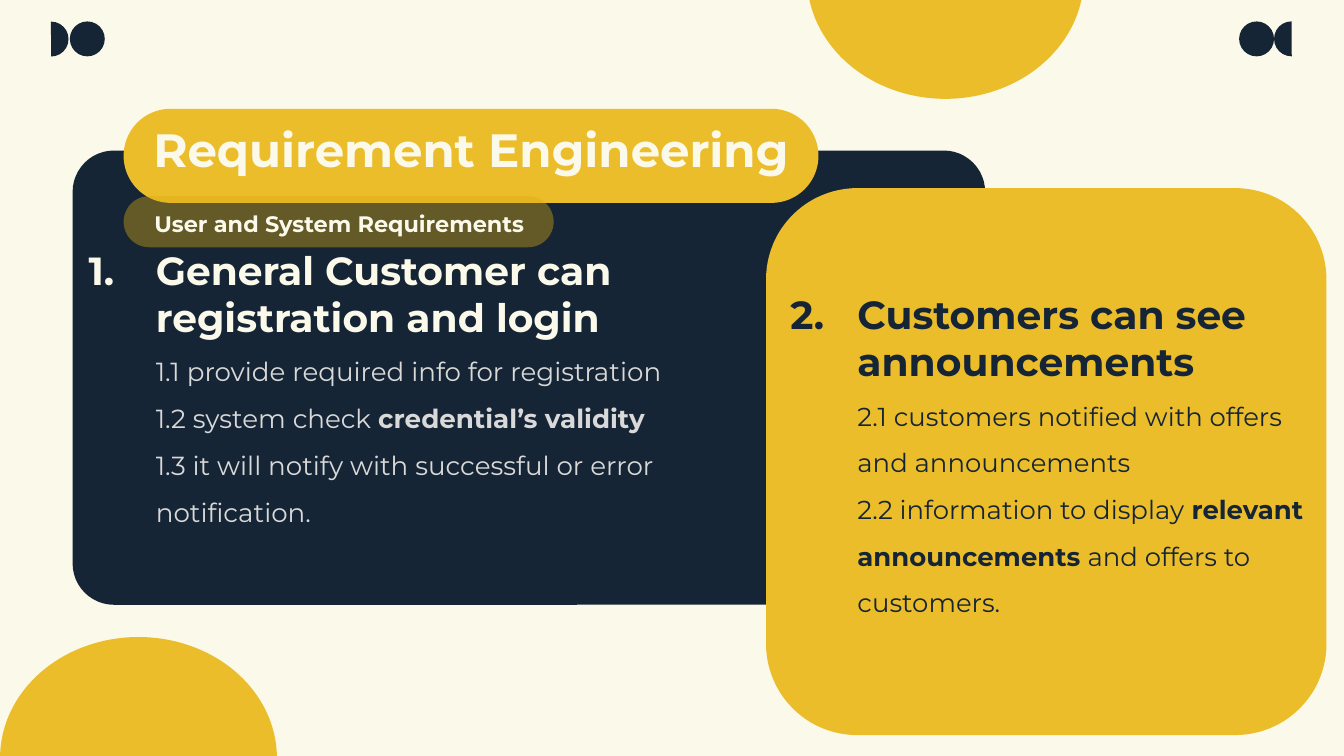
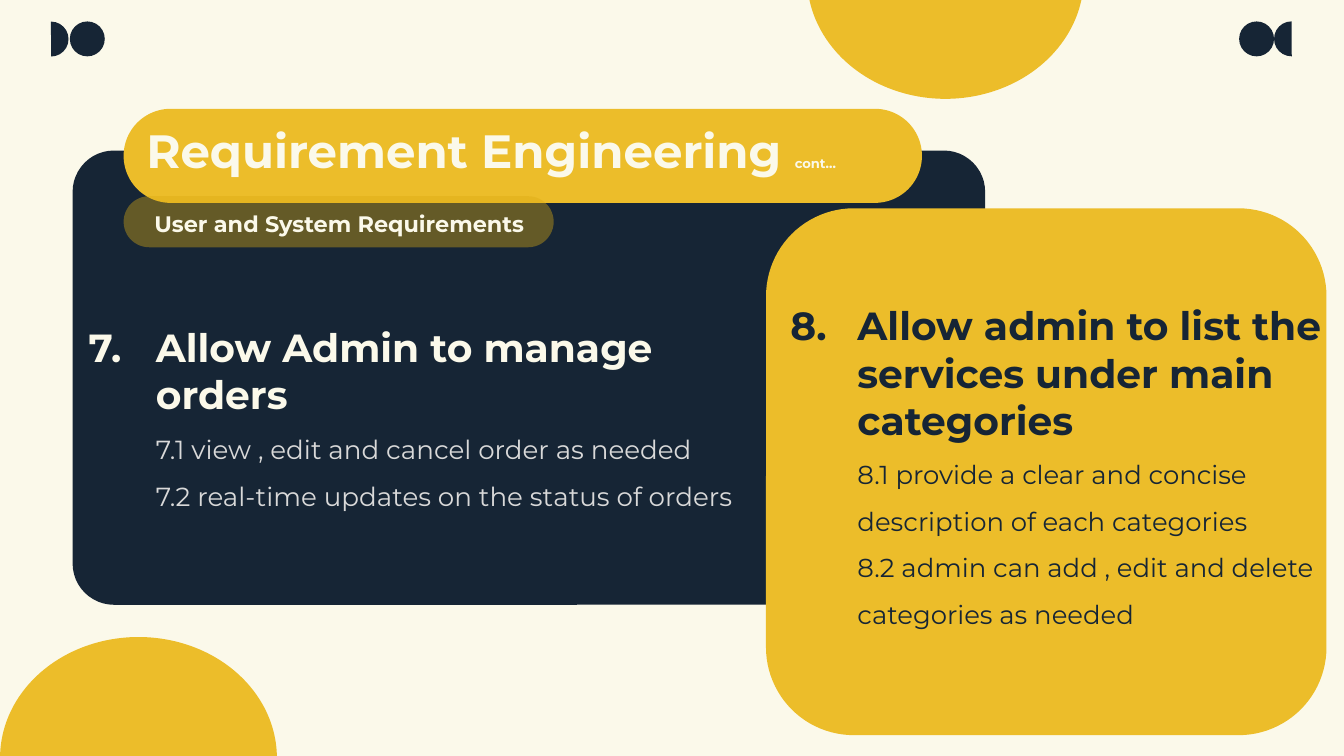
import dataclasses

import lxml.etree
import pptx
import pptx.dml.color
import pptx.enum.shapes
import pptx.enum.text
import pptx.oxml.ns
import pptx.util

COLORS = {
    "cream": "FBF9EA",
    "navy": "162535",
    "yellow": "ECBD2A",
    "mustard": "DBAB13",
    "grey": "D9D9D9",
}
FONT = "Montserrat"
SHAPE = pptx.enum.shapes.MSO_SHAPE
ALIGN = pptx.enum.text.PP_ALIGN
HALF_CIRCLE = (53.46, 162)
NUMBER_INDENT = 0.5
PAGE_WIDTH = 10
PAGE_HEIGHT = PAGE_WIDTH * 9 / 16


@dataclasses.dataclass
class Box:
    left: float
    top: float
    width: float
    height: float

    def inner(self, left, top, width, height):
        return Box(self.left + left, self.top + top, width, height)

    def lengths(self):
        return [pptx.util.Inches(value) for value in dataclasses.astuple(self)]


def color_of(name):
    return pptx.dml.color.RGBColor.from_string(COLORS[name])


def add_filled(shapes, kind, box, color, adjustments=(), rotation=0, opacity=None):
    shape = shapes.add_shape(kind, *box.lengths())
    shape.shadow.inherit = False
    shape.fill.solid()
    shape.fill.fore_color.rgb = color_of(color)
    shape.line.fill.background()
    shape.rotation = rotation
    for index, value in enumerate(adjustments):
        shape.adjustments[index] = value
    if opacity is not None:
        tint = shape.fill._xPr.find(".//" + pptx.oxml.ns.qn("a:srgbClr"))
        alpha = lxml.etree.SubElement(tint, pptx.oxml.ns.qn("a:alpha"))
        alpha.set("val", str(opacity * 1000))
    return shape


def add_text_frame(shapes, box, bottom_margin=0):
    frame = shapes.add_textbox(*box.lengths()).text_frame
    frame.word_wrap = True
    frame.vertical_anchor = pptx.enum.text.MSO_ANCHOR.MIDDLE
    frame.margin_left = frame.margin_right = frame.margin_top = 0
    frame.margin_bottom = pptx.util.Inches(bottom_margin)
    return frame


def add_span(para, text, size, color, bold=True):
    span = para.add_run()
    span.text = text
    span.font.name = FONT
    span.font.size = pptx.util.Pt(size)
    span.font.bold = bold
    span.font.color.rgb = color_of(color)


def indent(para, hanging=0):
    properties = para._p.get_or_add_pPr()
    properties.set("marL", str(pptx.util.Inches(NUMBER_INDENT)))
    properties.set("indent", str(-pptx.util.Inches(hanging)))
    return properties


def number_heading(para, number, color):
    properties = indent(para, NUMBER_INDENT)
    bullet_color = lxml.etree.SubElement(properties, pptx.oxml.ns.qn("a:buClr"))
    tint = lxml.etree.SubElement(bullet_color, pptx.oxml.ns.qn("a:srgbClr"))
    tint.set("val", COLORS[color])
    bullet = lxml.etree.SubElement(properties, pptx.oxml.ns.qn("a:buAutoNum"))
    bullet.set("type", "arabicPeriod")
    bullet.set("startAt", str(number))


def add_requirement(page, box, content, heading_color, body_color, body_size):
    frame = add_text_frame(page.shapes, box, content.get("bottom_margin", 0))
    heading = frame.paragraphs[0]
    number_heading(heading, content["number"], heading_color)
    add_span(heading, content["heading"], 21, heading_color)
    for spans in content["details"]:
        para = frame.add_paragraph()
        para.level = 1
        para.line_spacing = 1.5
        indent(para)
        for position, text in enumerate(spans):
            add_span(para, text, body_size, body_color, bold=position % 2 == 1)


def add_corner_mark(page, box, half_left, circle_left, rotation):
    group = page.shapes.add_group_shape()
    size = box.height
    add_filled(group.shapes, SHAPE.PIE, box.inner(half_left, 0, size, size),
               "navy", HALF_CIRCLE, rotation)
    add_filled(group.shapes, SHAPE.OVAL, box.inner(circle_left, 0, size, size), "navy")


def add_backdrop(page, box):
    page.background.fill.solid()
    page.background.fill.fore_color.rgb = color_of("cream")
    add_filled(page.shapes, SHAPE.ROUNDED_RECTANGLE,
               box.inner(0.54, 1.12, 6.79, 3.38), "navy", [0.091])
    for left, top, width, rotation in ((0.13, 4.61, 1.8, 90), (6.13, -1.2, 1.81, 270)):
        add_filled(page.shapes, SHAPE.PIE, box.inner(left, top, width, 2.06),
                   "yellow", HALF_CIRCLE, rotation)
    add_corner_mark(page, box.inner(0.25, 0.16, 0.53, 0.26), 0, 0.27, 180)
    add_corner_mark(page, box.inner(9.22, 0.16, 0.52, 0.26), 0.26, 0, 0)


def add_title(page, box, spans):
    para = add_text_frame(page.shapes, box).paragraphs[0]
    para.alignment = ALIGN.CENTER
    for text, size in spans:
        add_span(para, text, size, "cream")


def add_subtitle(page, box):
    group = page.shapes.add_group_shape()
    add_filled(group.shapes, SHAPE.ROUNDED_RECTANGLE, box, "mustard", [0.5], opacity=40)
    frame = add_text_frame(group.shapes, box.inner(0.15, 0.04, 2.91, 0.32))
    para = frame.paragraphs[0]
    para.alignment = ALIGN.CENTER
    add_span(para, "User and System Requirements", 12, "cream")


def add_requirements_page(deck, content):
    page = deck.slides.add_slide(deck.slide_layouts[6])
    full = Box(0, 0, PAGE_WIDTH, PAGE_HEIGHT)
    add_backdrop(page, full)
    add_filled(page.shapes, SHAPE.ROUNDED_RECTANGLE,
               full.inner(0.92, 0.81, content["pill_width"], 0.7), "yellow", [0.5])
    add_requirement(page, full.inner(*content["left_area"]), content["left"],
                    "cream", "grey", 14)
    add_title(page, full.inner(*content["title_area"]), content["title"])
    add_subtitle(page, full.inner(0.92, 1.46, 3.2, 0.38))
    card_top = content["card_top"]
    add_filled(page.shapes, SHAPE.ROUNDED_RECTANGLE,
               full.inner(5.7, card_top, 4.17, 5.47 - card_top), "yellow")
    add_requirement(page, full.inner(5.88, 1.46, 3.99, 4.01), content["right"],
                    "navy", "navy", 13.9)


PAGES = [
    {
        "pill_width": 5.17,
        "title_area": (0.92, 0.81, 5.17, 0.59),
        "title": [("Requirement Engineering", 25)],
        "left_area": (0.66, 2.17, 4.86, 1.59),
        "left": {
            "number": 1,
            "heading": "General Customer can registration and login",
            "details": [
                ["1.1 provide required info for registration"],
                ["1.2 system check ", "credential’s validity"],
                ["1.3 it will notify with successful or error notification."],
            ],
            "bottom_margin": 0.17,
        },
        "card_top": 1.4,
        "right": {
            "number": 2,
            "heading": "Customers can see announcements",
            "details": [
                ["2.1 customers notified with offers and announcements"],
                ["2.2 information to display ", "relevant announcements",
                 " and offers to customers."],
            ],
            "bottom_margin": 0.17,
        },
    },
    {
        "pill_width": 5.94,
        "title_area": (1.07, 0.82, 5.17, 0.59),
        "title": [("Requirement Engineering ", 25), ("cont…", 7)],
        "left_area": (0.66, 2.34, 4.86, 1.78),
        "left": {
            "number": 7,
            "heading": "Allow Admin to manage orders",
            "details": [
                ["7.1 view , edit and cancel order as needed"],
                ["7.2 real-time updates on the status of orders"],
            ],
            "bottom_margin": 0.25,
        },
        "card_top": 1.55,
        "right": {
            "number": 8,
            "heading": "Allow admin to list the services under main categories",
            "details": [
                ["8.1 provide a clear and concise description of each categories"],
                ["8.2 admin can add , edit and delete categories as needed"],
            ],
        },
    },
]


def main():
    deck = pptx.Presentation()
    deck.slide_width = pptx.util.Inches(PAGE_WIDTH)
    deck.slide_height = pptx.util.Inches(PAGE_HEIGHT)
    for content in PAGES:
        add_requirements_page(deck, content)
    deck.save("out.pptx")


if __name__ == "__main__":
    main()
